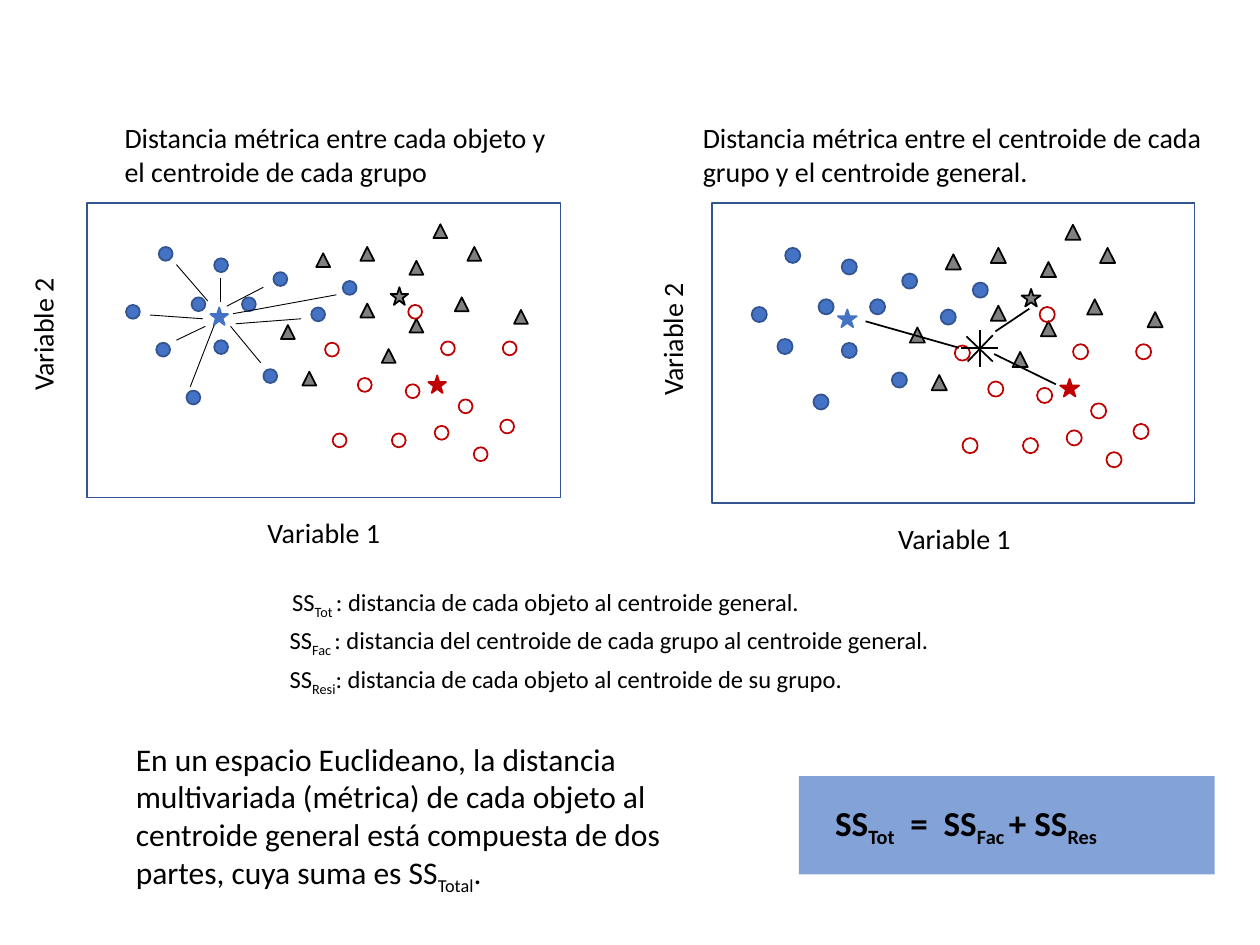
"""Build the slide that compares group centroid distances and their sums of squares."""
from lxml.etree import SubElement
from pptx import Presentation
from pptx.dml.color import RGBColor
from pptx.enum.shapes import MSO_CONNECTOR, MSO_SHAPE
from pptx.enum.text import MSO_AUTO_SIZE, PP_ALIGN
from pptx.oxml.ns import qn
from pptx.util import Inches, Pt

COLORS = {"blue": "4472C4", "navy": "325491", "gray": "808080", "red": "C00000", "black": "000000"}
FONT = "Calibri"

MARKERS = [
    (MSO_SHAPE.OVAL, "blue", "navy", [
        (2.17, 2.16), (1.52, 2.36), (1.26, 1.96), (1.24, 2.72), (1.7, 2.7), (1.92, 2.36), (1.48, 3.1),
        (1, 2.42), (2.47, 2.44), (2.09, 2.93), (2.72, 2.23), (1.7, 2.05)]),
    (MSO_SHAPE.ISOSCELES_TRIANGLE, "gray", "black", [
        (3.61, 2.36), (2.86, 2.41), (2.4, 2.95), (2.86, 1.96), (2.23, 2.58), (3.25, 2.53), (3.25, 2.07),
        (3.44, 1.78), (3.71, 1.96), (3.03, 2.77), (4.08, 2.46), (2.51, 2.01)]),
    (MSO_SHAPE.OVAL, None, "red", [
        (3.24, 2.42), (3.5, 2.71), (3.99, 2.71), (3.76, 3.55), (2.84, 3), (3.22, 3.05), (3.11, 3.44),
        (2.64, 3.44), (2.58, 2.72), (3.64, 3.17), (3.45, 3.38), (3.97, 3.33)]),
]
CENTROIDS = [("red", "red", (3.4, 2.98)), ("gray", "black", (3.1, 2.28)), ("blue", "blue", (1.67, 2.44))]

PANELS = [
    {"frame": (0.69, 1.61, 3.76, 2.34), "scale": 1, "marker": 0.11, "star": (0.14, 0.14), "moved": {},
     "x_label": (1.83, 4.04, 1.48, 0.37), "y_label": (-0.4, 2.47, 1.48, 0.37), "line_width": 0.5,
     "lines": [
         (1.51, 3.07, 1.7, 2.58), (1.8, 2.43, 2.09, 2.28), (1.85, 2.49, 2.67, 2.34),
         (1.83, 2.59, 2.07, 2.88), (1.19, 2.5, 1.61, 2.53), (1.4, 2.1, 1.65, 2.39),
         (1.4, 2.7, 1.63, 2.59), (1.87, 2.57, 2.39, 2.53), (1.75, 2.21, 1.75, 2.4)]},
    {"frame": (5.65, 1.61, 3.83, 2.38), "scale": 1.02, "marker": 0.12, "star": (0.15, 0.14),
     "moved": {(1.24, 2.72): (6.17, 2.69)},
     "x_label": (6.82, 4.09, 1.51, 0.37), "y_label": (4.58, 2.51, 1.51, 0.37), "line_width": 1,
     "lines": [
         (7.63, 2.76, 7.92, 2.76), (7.78, 2.91, 7.78, 2.62), (7.67, 2.67, 7.88, 2.87),
         (7.68, 2.87, 7.88, 2.66), (6.87, 2.55, 7.61, 2.76), (7.89, 2.81, 8.38, 3.05),
         (7.9, 2.63, 8.17, 2.45)]},
]

CAPTIONS = [
    ((0.89, 0.91, 3.71, 0.64), ["Distancia métrica entre cada objeto y el centroide de cada grupo"]),
    ((5.48, 0.91, 4.16, 0.64), ["Distancia métrica entre el centroide de cada grupo y el centroide general."]),
]
DEFINITIONS = [
    ((2.22, 4.61, 6.31, 0.34), ["SS", "Tot ", ": distancia de cada objeto al centroide general."]),
    ((2.2, 4.91, 6.17, 0.34), ["SS", "Fac ", ": distancia del centroide de cada grupo al centroide general."]),
    ((2.2, 5.22, 6.31, 0.34), ["SS", "Resi", ": distancia de cada objeto al centroide de su grupo."]),
]
EQUATION_BOX = (6.34, 6.16, 3.3, 0.78)
EQUATION = ((6.53, 6.31, 3.29, 0.44), ["SS", "Tot", "  =  SS", "Fac ", "+ SS", "Res"])
SUMMARY = ((0.98, 5.82, 4.87, 1.31), [
    "En un espacio Euclideano, la distancia multivariada (métrica) de cada objeto al centroide general "
    "está compuesta de dos partes, cuya suma es SS", "Total", "."])


def rgb(name):
    return RGBColor.from_string(COLORS[name])


def add_figure(shapes, kind, box, fill, line):
    shape = shapes.add_shape(kind, *map(Inches, box))
    shape.shadow.inherit = False
    if fill:
        shape.fill.solid()
        shape.fill.fore_color.rgb = rgb(fill)
    else:
        shape.fill.background()
    if line:
        shape.line.color.rgb = rgb(line)
        shape.line.width = Pt(1)
    else:
        shape.line.fill.background()
    return shape


def add_text(shapes, box, pieces, size, bold=False, alignment=PP_ALIGN.LEFT, rotation=0):
    """Add a text box whose every second piece is a subscript."""
    text_box = shapes.add_textbox(*map(Inches, box))
    text_box.rotation = rotation
    frame = text_box.text_frame
    frame.word_wrap = True
    frame.auto_size = MSO_AUTO_SIZE.SHAPE_TO_FIT_TEXT
    paragraph = frame.paragraphs[0]
    paragraph.alignment = alignment
    for index, piece in enumerate(pieces):
        run = paragraph.add_run()
        run.text = piece
        run.font.name = FONT
        run.font.size = Pt(size)
        run.font.bold = bold
        run.font.color.rgb = rgb("black")
        if index % 2:
            run._r.get_or_add_rPr().set("baseline", "-25000")


def add_line(shapes, ends, width):
    connector = shapes.add_connector(MSO_CONNECTOR.STRAIGHT, *map(Inches, ends))
    connector.line.color.rgb = rgb("black")
    connector.line.width = Pt(width)
    SubElement(connector._element.spPr, qn("a:effectLst"))


def add_panel(slide, panel):
    shapes = slide.shapes.add_group_shape().shapes
    first_left, first_top = PANELS[0]["frame"][:2]
    left, top = panel["frame"][:2]

    def place(point):
        scaled = (left + (point[0] - first_left) * panel["scale"],
                  top + (point[1] - first_top) * panel["scale"])
        return panel["moved"].get(point, scaled)

    add_figure(shapes, MSO_SHAPE.RECTANGLE, panel["frame"], None, "navy")
    add_text(shapes, panel["x_label"], ["Variable 1"], 16, alignment=PP_ALIGN.CENTER)
    add_text(shapes, panel["y_label"], ["Variable 2"], 16, alignment=PP_ALIGN.CENTER, rotation=270)
    for kind, fill, line, points in MARKERS:
        for point in points:
            add_figure(shapes, kind, (*place(point), panel["marker"], panel["marker"]), fill, line)
    for fill, line, point in CENTROIDS:
        add_figure(shapes, MSO_SHAPE.STAR_5_POINT, (*place(point), *panel["star"]), fill, line)
    for ends in panel["lines"]:
        add_line(shapes, ends, panel["line_width"])


def main():
    presentation = Presentation()
    presentation.slide_width = Inches(10)
    presentation.slide_height = Inches(7.5)
    slide = presentation.slides.add_slide(presentation.slide_layouts[6])
    equation_box = add_figure(slide.shapes, MSO_SHAPE.RECTANGLE, EQUATION_BOX, "blue", None)
    fill_color = equation_box._element.spPr.find(qn("a:solidFill"))[0]
    SubElement(fill_color, qn("a:alpha")).set("val", "66000")
    for panel in PANELS:
        add_panel(slide, panel)
    for texts, size in ((CAPTIONS, 16), (DEFINITIONS, 14)):
        group = slide.shapes.add_group_shape()
        for box, pieces in texts:
            add_text(group.shapes, box, pieces, size)
    add_text(slide.shapes, *EQUATION, 20, bold=True)
    add_text(slide.shapes, *SUMMARY, 18)
    presentation.save("out.pptx")


if __name__ == "__main__":
    main()
